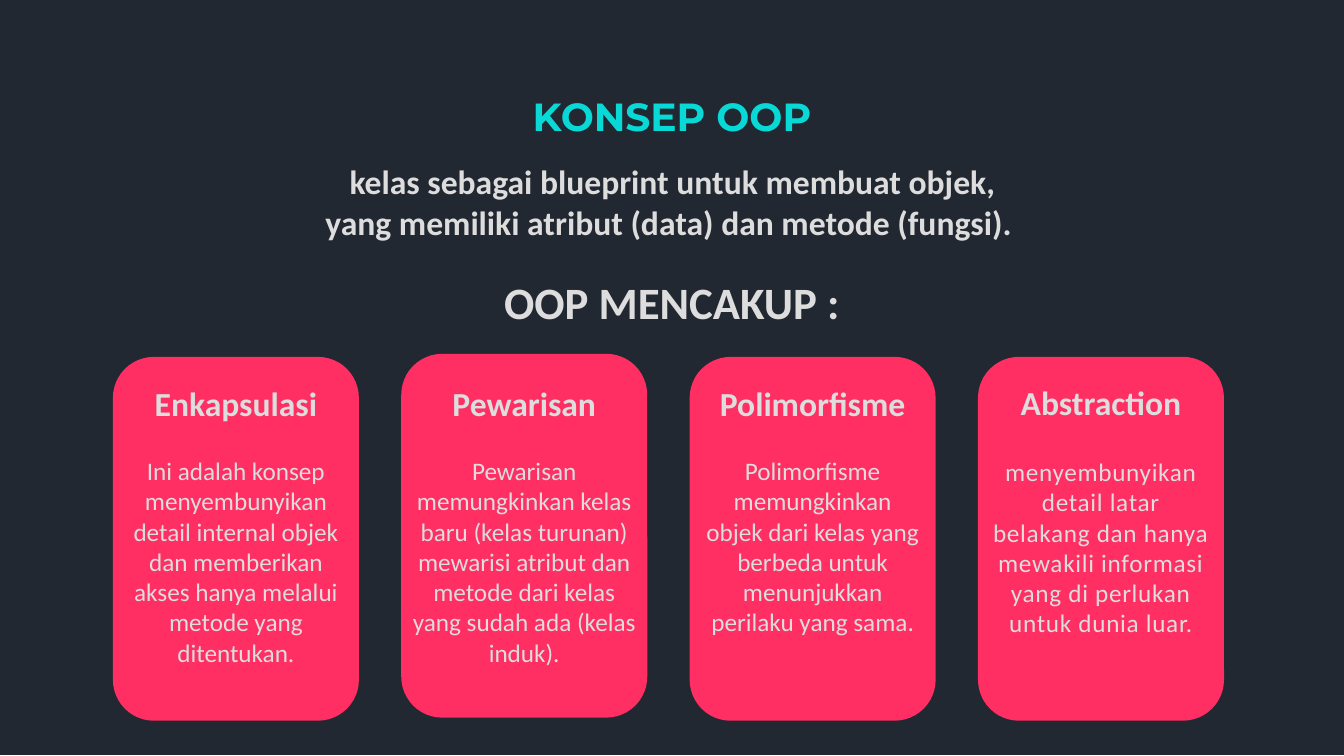
import pptx
import pptx.util
import pptx.dml.color
import pptx.enum.shapes
import pptx.enum.text

Inches = pptx.util.Inches
COLORS = {"background": "222831", "card": "FF2E63", "title": "08D9D6", "text": "DDDDDD"}
CARD_W, CARD_H, CARD_STEP = 2.44, 3.61, 2.86

# card top, heading top, body top, body width, letter spacing, heading, body
CARDS = [
    (3.54, 3.75, 4.47, 2.3, 0, "Enkapsulasi",
     "Ini adalah konsep menyembunyikan detail internal objek dan memberikan "
     "akses hanya melalui metode yang ditentukan."),
    (3.51, 3.75, 4.47, 2.44, 0, "Pewarisan",
     "Pewarisan memungkinkan kelas baru (kelas turunan) mewarisi atribut dan "
     "metode dari kelas yang sudah ada (kelas induk)."),
    (3.54, 3.75, 4.47, 2.37, 0, "Polimorfisme",
     "Polimorfisme memungkinkan objek dari kelas yang berbeda untuk "
     "menunjukkan perilaku yang sama."),
    (3.54, 3.74, 4.48, 2.37, 0.5, "Abstraction",
     "menyembunyikan detail latar belakang dan hanya mewakili informasi yang "
     "di perlukan untuk dunia luar."),
]


def rgb(name):
    """Return the named colour."""
    return pptx.dml.color.RGBColor.from_string(COLORS[name])


def add_text(s, text, x, y, w, h, size=18, bold=False, font="Calibri",
             color="text", spacing=0):
    """Add a centred, wrapping text box."""
    tf = s.shapes.add_textbox(Inches(x), Inches(y), Inches(w), Inches(h)).text_frame
    tf.word_wrap = True
    tf.auto_size = pptx.enum.text.MSO_AUTO_SIZE.SHAPE_TO_FIT_TEXT
    p = tf.paragraphs[0]
    p.alignment = pptx.enum.text.PP_ALIGN.CENTER
    r = p.add_run()
    r.text = text
    r.font.size = pptx.util.Pt(size)
    r.font.bold = bold
    r.font.name = font
    r.font.color.rgb = rgb(color)
    if spacing:
        r.font._element.set("spc", str(int(spacing * 100)))


def add_block(s, kind, color, x, y, w, h):
    """Add a plain filled shape without outline or shadow."""
    sp = s.shapes.add_shape(kind, Inches(x), Inches(y), Inches(w), Inches(h))
    sp.shadow.inherit = False
    sp.fill.solid()
    sp.fill.fore_color.rgb = rgb(color)
    sp.line.fill.background()


def add_header(s, x, y, w):
    """Add the title, definition and lead-in, centred in the given width."""
    mid = x + w / 2
    add_text(s, "KONSEP OOP", mid - 2.17, y, 4.34, 0.57, size=28, bold=True,
             font="Montserrat", color="title")
    add_text(s, "kelas sebagai blueprint untuk membuat objek, yang memiliki "
             "atribut (data) dan metode (fungsi). ",
             mid - 3.6, y + 0.68, 7.21, 0.91, size=24, bold=True)
    add_text(s, "OOP MENCAKUP :", mid - 1.81, y + 1.81, 3.62, 0.64, size=32, bold=True)


def add_card(s, x, card):
    """Add one concept card with its heading and body centred on it."""
    top, head_y, body_y, body_w, spacing, heading, body = card
    mid = x + CARD_W / 2
    add_block(s, pptx.enum.shapes.MSO_SHAPE.ROUNDED_RECTANGLE, "card",
              x, top, CARD_W, CARD_H)
    add_text(s, heading, mid - 1.04, head_y, 2.08, 0.5, size=24, bold=True)
    add_text(s, body, mid - body_w / 2, body_y, body_w, 2.22, spacing=spacing)


def build_slide(prs):
    """Build the slide on the OOP concept."""
    s = prs.slides.add_slide(prs.slide_layouts[6])
    add_block(s, pptx.enum.shapes.MSO_SHAPE.RECTANGLE, "background", 0, -0.01, 13.33, 7.5)
    add_header(s, 0, 0.87, 13.33)
    for i, card in enumerate(CARDS):
        add_card(s, 1.12 + i * CARD_STEP, card)


prs = pptx.Presentation()
prs.slide_width, prs.slide_height = Inches(13.33), Inches(7.5)
build_slide(prs)
prs.save("out.pptx")
